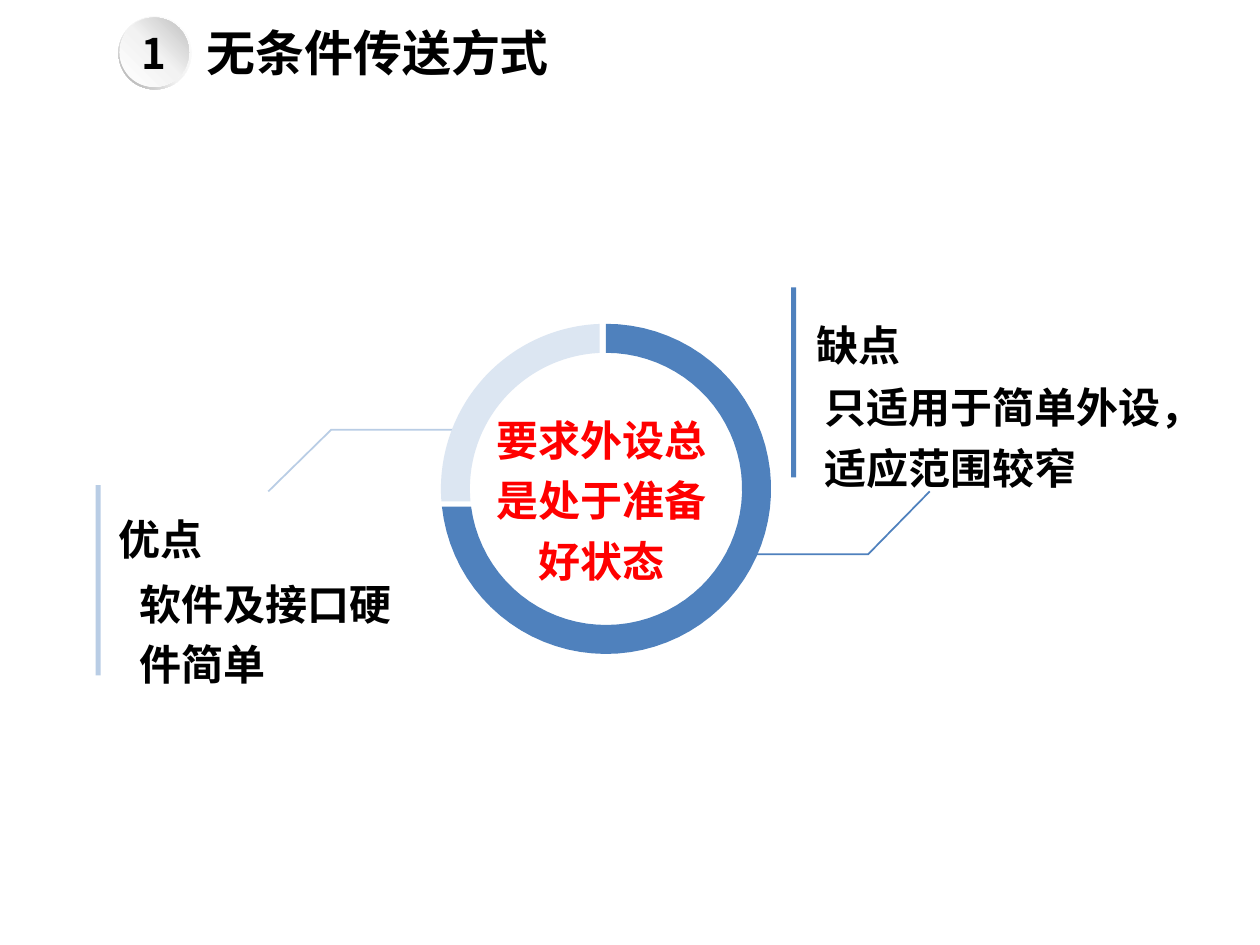
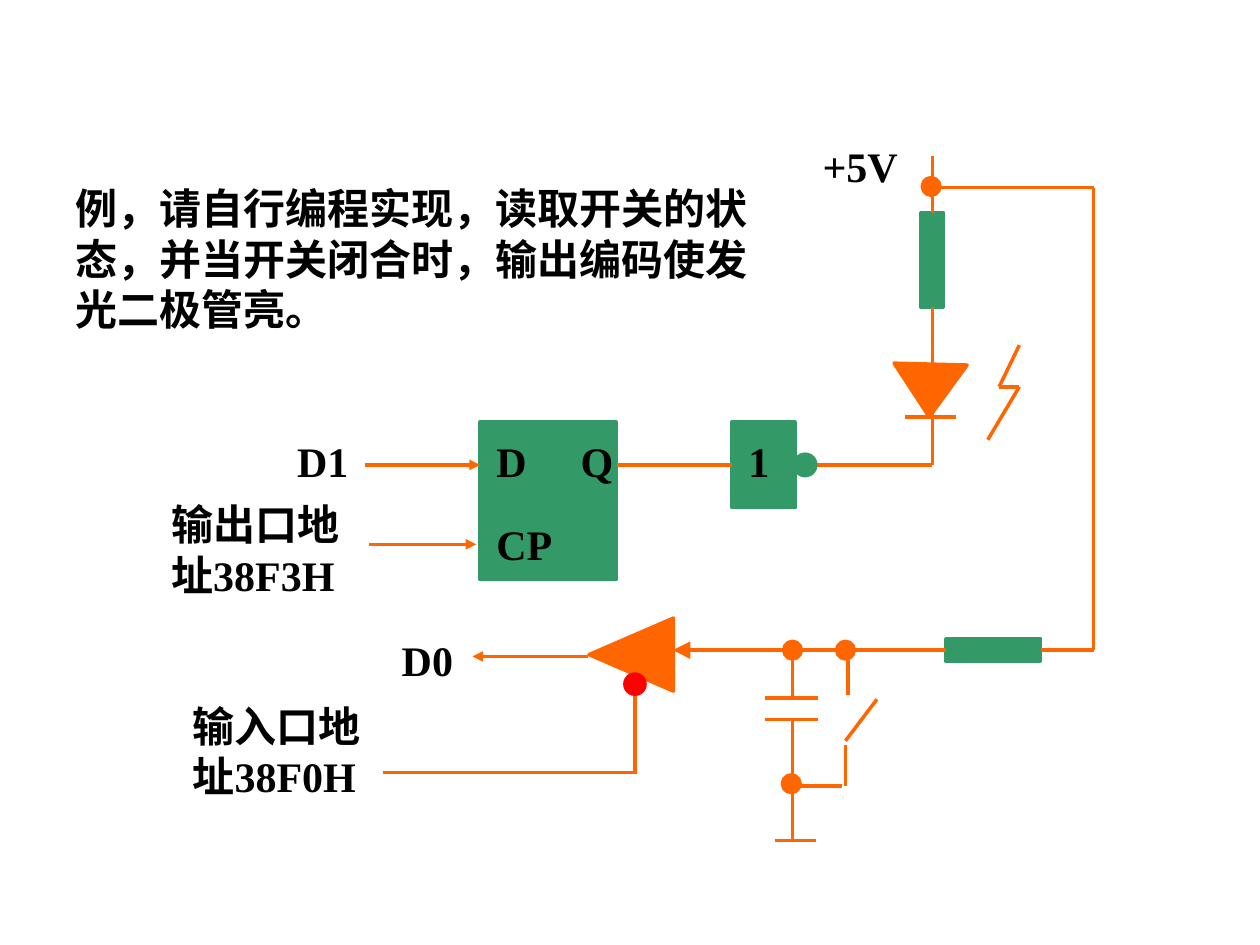
from math import asin, cos, pi, sin

from pptx import Presentation
from pptx.dml.color import RGBColor
from pptx.enum.shapes import MSO_CONNECTOR as CONN, MSO_SHAPE as SHAPE
from pptx.enum.text import MSO_ANCHOR as ANCHOR, PP_ALIGN as ALIGN
from pptx.oxml import parse_xml
from pptx.oxml.ns import nsdecls, qn
from pptx.util import Inches, Pt
from lxml.etree import SubElement

SANS, SERIF = "Noto Sans CJK SC", "Times New Roman"
BLUE, PALE, ICE = "4F81BD", "B9CDE5", "DCE6F2"
ORANGE, GREEN, RED, BLACK = "FF6600", "339966", "FF0000", "000000"

TITLE = ("无条件传送方式", (1.54, 0.13, 4.36, 0.57))
BADGE = [
    (SHAPE.DONUT, (0.94, 0.13, 0.58, 0.58), 135,
     [(0, "FFFFFF"), (55, "F2F2F2"), (100, "A6A6A6")]),
    (SHAPE.OVAL, (0.95, 0.14, 0.55, 0.55), 315,
     [(0, "FFFFFF"), (51, "F2F2F2"), (100, "BFBFBF")]),
]
CORE = ("要求外设总是处于准备好状态", (3.73, 3.16, 2.09, 1.49))
SIDES = [
    dict(head="优点", head_at=(0.94, 4.02, 2.18, 0.51),
         body="软件及接口硬件简单", body_at=(0.61, 4.51, 2.83, 0.9),
         bar=(0.76, 3.85, 0.04, 1.51), color=PALE,
         leader=[(3.66, 3.41), (2.63, 3.41), (2.13, 3.9)]),
    dict(head="缺点", head_at=(6.48, 2.48, 2.18, 0.51),
         body="只适用于简单外设，适应范围较窄", body_at=(6.04, 2.95, 3.31, 0.9),
         bar=(6.28, 2.28, 0.04, 1.51), color=BLUE,
         leader=[(5.85, 4.4), (6.89, 4.4), (7.38, 3.9)]),
]
RING_CENTER, RING_OUTER, RING_INNER = (4.81, 3.88), 1.31, 1.08
RING_PARTS = [
    (BLUE, (0, 0), (270, 0.14)),
    (ICE, (270, 0.1), (360, 0.05)),
]

TASK = ("例，请自行编程实现，读取开关的状态，并当开关闭合时，输出编码使发光二极管亮。",
        (0.5, 1.4, 5.59, 1.31))
BLOCKS = {
    "flipflop": (3.81, 3.35, 1.08, 1.25),
    "gate": (5.81, 3.35, 0.5, 0.68),
    "led_resistor": (7.31, 1.69, 0.18, 0.75),
    "switch_resistor": (7.51, 5.07, 0.75, 0.18),
}
TRIANGLES = [((4.72, 4.86, 0.58, 0.67), 270), ((7.09, 2.89, 0.58, 0.42), 181.5)]
DOTS = [
    (6.39, 3.69, 0.17, GREEN), (5.04, 5.43, 0.16, RED),
    (6.28, 6.22, 0.14, ORANGE), (6.29, 5.16, 0.14, ORANGE),
    (6.71, 5.16, 0.14, ORANGE), (7.39, 1.48, 0.14, ORANGE),
]
WIRES = [
    (5.04, 5.47, 5.04, 6.14), (3.04, 6.13, 5.04, 6.13),
    (6.48, 3.69, 7.4, 3.69), (7.4, 3.19, 7.4, 3.69), (7.18, 3.31, 7.59, 3.31),
    (6.29, 5.21, 6.29, 5.54), (6.07, 5.54, 6.49, 5.54),
    (6.07, 5.71, 6.49, 5.71), (6.29, 5.71, 6.29, 6.67), (6.15, 6.67, 6.48, 6.67),
    (6.34, 6.24, 6.68, 6.24), (6.73, 5.19, 6.73, 5.52),
    (6.71, 5.91, 6.71, 6.24), (6.96, 5.55, 6.71, 5.88),
    (7.43, 1.49, 8.68, 1.49), (8.68, 1.49, 8.68, 5.16),
    (8.09, 2.74, 7.93, 3.07), (7.93, 3.07, 8.09, 3.07), (8.09, 3.07, 7.84, 3.49),
]
JOINED_WIRES = [
    ((4.9, 3.69, 5.81, 3.69), {"end": ("gate", 1)}),
    ((7.4, 1.24, 7.4, 1.69), {"end": ("led_resistor", 0)}),
    ((7.4, 2.44, 7.4, 2.89), {"begin": ("led_resistor", 2)}),
    ((8.26, 5.16, 8.68, 5.16), {"begin": ("switch_resistor", 3)}),
    ((7.51, 5.16, 5.34, 5.16), {"begin": ("switch_resistor", 1), "arrow": "lg"}),
]
SIGNALS = [(4.67, 5.21, 3.75, 5.21), (2.9, 3.69, 3.81, 3.69), (2.93, 4.32, 3.78, 4.32)]
LABELS = [
    ("D", (3.84, 3.41, 0.58, 0.5)), ("CP", (3.84, 4.07, 0.75, 0.5)),
    ("Q", (4.51, 3.41, 0.58, 0.5)), ("1", (5.84, 3.41, 0.58, 0.5)),
    ("D0", (3.09, 4.99, 0.83, 0.5)), ("D1", (2.26, 3.41, 0.83, 0.5)),
    ("+5V", (6.43, 1.07, 0.83, 0.5)),
    ("输出口地址38F3H", (1.26, 3.91, 1.67, 0.9)),
    ("输入口地址38F0H", (1.43, 5.51, 1.67, 0.9)),
]


def rgb(color):
    return RGBColor.from_string(color)


def write(sp, text, font=SERIF, size=24, color=BLACK, inset=None, indent=0, **fmt):
    tf = sp.text_frame
    tf.word_wrap = True
    tf.vertical_anchor = fmt.pop("anchor", ANCHOR.TOP)
    if inset is not None:
        for side in ("left", "top", "right", "bottom"):
            setattr(tf, f"margin_{side}", Inches(inset))
    p = tf.paragraphs[0]
    for name, value in fmt.items():
        setattr(p, name, value)
    if indent:
        p.level = 1
        pPr = p._p.get_or_add_pPr()
        pPr.set("marL", str(Inches(indent)))
        pPr.set("indent", "0")
    r = p.add_run()
    r.text = text
    for name, value in dict(name=font, size=Pt(size), bold=True).items():
        setattr(r.font, name, value)
    r.font.color.rgb = rgb(color)
    SubElement(r._r.get_or_add_rPr(), qn("a:ea")).set("typeface", SANS)


def label(s, text, at, **fmt):
    write(s.shapes.add_textbox(*map(Inches, at)), text, **fmt)


def paint(sp, fill=None, line=None, width=2):
    sp.shadow.inherit = False
    for part, color in ((sp.fill, fill), (sp.line.fill, line)):
        if color:
            part.solid()
            part.fore_color.rgb = rgb(color)
        else:
            part.background()
    if line:
        sp.line.width = Pt(width)
    return sp


def shape(s, kind, at, fill=None, line=None):
    return paint(s.shapes.add_shape(kind, *map(Inches, at)), fill, line)


def outline(s, points, close, **style):
    start, *rest = [(Inches(x), Inches(y)) for x, y in points]
    fb = s.shapes.build_freeform(*start, scale=1.0)
    fb.add_line_segments(rest, close=close)
    return paint(fb.convert_to_shape(), **style)


def gradient(sp, angle, stops):
    gs = "".join(f'<a:gs pos="{pos * 1000}"><a:srgbClr val="{color}"/></a:gs>'
                 for pos, color in stops)
    fill = parse_xml(f'<a:gradFill {nsdecls("a")}><a:gsLst>{gs}</a:gsLst>'
                     f'<a:lin ang="{angle * 60000}" scaled="0"/></a:gradFill>')
    spPr = sp.element.spPr
    spPr.replace(spPr.find(qn("a:noFill")), fill)


def wire(s, ends, begin=None, end=None, arrow=None):
    c = s.shapes.add_connector(CONN.STRAIGHT, *map(Inches, ends))
    c.line.color.rgb = rgb(ORANGE)
    c.line.width = Pt(2)
    if arrow:
        tail = SubElement(c.line._get_or_add_ln(), qn("a:tailEnd"))
        for name, value in dict(type="triangle", w=arrow, len=arrow).items():
            tail.set(name, value)
    SubElement(c.element.spPr, qn("a:effectLst"))
    if begin:
        c.begin_connect(*begin)
    if end:
        c.end_connect(*end)


def ring_arc(radius, first, last, steps=60):
    a, b = [deg * pi / 180 - asin(gap / radius) for deg, gap in (first, last)]
    cx, cy = RING_CENTER
    turns = [a + (b - a) * i / steps for i in range(steps + 1)]
    return [(cx + radius * sin(t), cy - radius * cos(t)) for t in turns]


def transfer_slide(s):
    label(s, *TITLE, size=28)
    for kind, at, angle, stops in BADGE:
        sp = shape(s, kind, at)
        if kind == SHAPE.DONUT:
            sp.adjustments[0] = 0.05
        gradient(sp, angle, stops)
    write(sp, "1", font=SANS, anchor=ANCHOR.MIDDLE, alignment=ALIGN.CENTER, inset=0)
    for side in SIDES:
        outline(s, side["leader"], False, line=side["color"], width=1)
        shape(s, SHAPE.RECTANGLE, side["bar"], side["color"])
    for color, first, last in RING_PARTS:
        outer = ring_arc(RING_OUTER, first, last)
        inner = ring_arc(RING_INNER, first, last)
        outline(s, outer + inner[::-1], True, fill=color)
    for side in SIDES:
        label(s, side["body"], side["body_at"], font=SANS, inset=0, indent=0.5,
              line_spacing=1.2)
        label(s, side["head"], side["head_at"], font=SANS, inset=0, anchor=ANCHOR.MIDDLE)
    label(s, *CORE, font=SANS, color=RED, alignment=ALIGN.CENTER, line_spacing=1.2)


def circuit_slide(s):
    label(s, *TASK, font=SANS)
    blocks = {name: shape(s, SHAPE.RECTANGLE, at, GREEN, GREEN)
              for name, at in BLOCKS.items()}
    for at, turn in TRIANGLES:
        shape(s, SHAPE.ISOSCELES_TRIANGLE, at, ORANGE, ORANGE).rotation = turn
    for ends in WIRES:
        wire(s, ends)
    for ends in SIGNALS:
        wire(s, ends, arrow="med")
    for ends, how in JOINED_WIRES:
        joins = {key: (blocks[how[key][0]], how[key][1])
                 for key in ("begin", "end") if key in how}
        wire(s, ends, arrow=how.get("arrow"), **joins)
    for x, y, d, color in DOTS:
        shape(s, SHAPE.OVAL, (x - d / 2, y - d / 2, d, d), color, color)
    for text, at in LABELS:
        label(s, text, at)


def main():
    prs = Presentation()
    prs.slide_width, prs.slide_height = Inches(10), Inches(7.5)
    for build in (transfer_slide, circuit_slide):
        build(prs.slides.add_slide(prs.slide_layouts[6]))
    prs.save("out.pptx")


if __name__ == "__main__":
    main()
